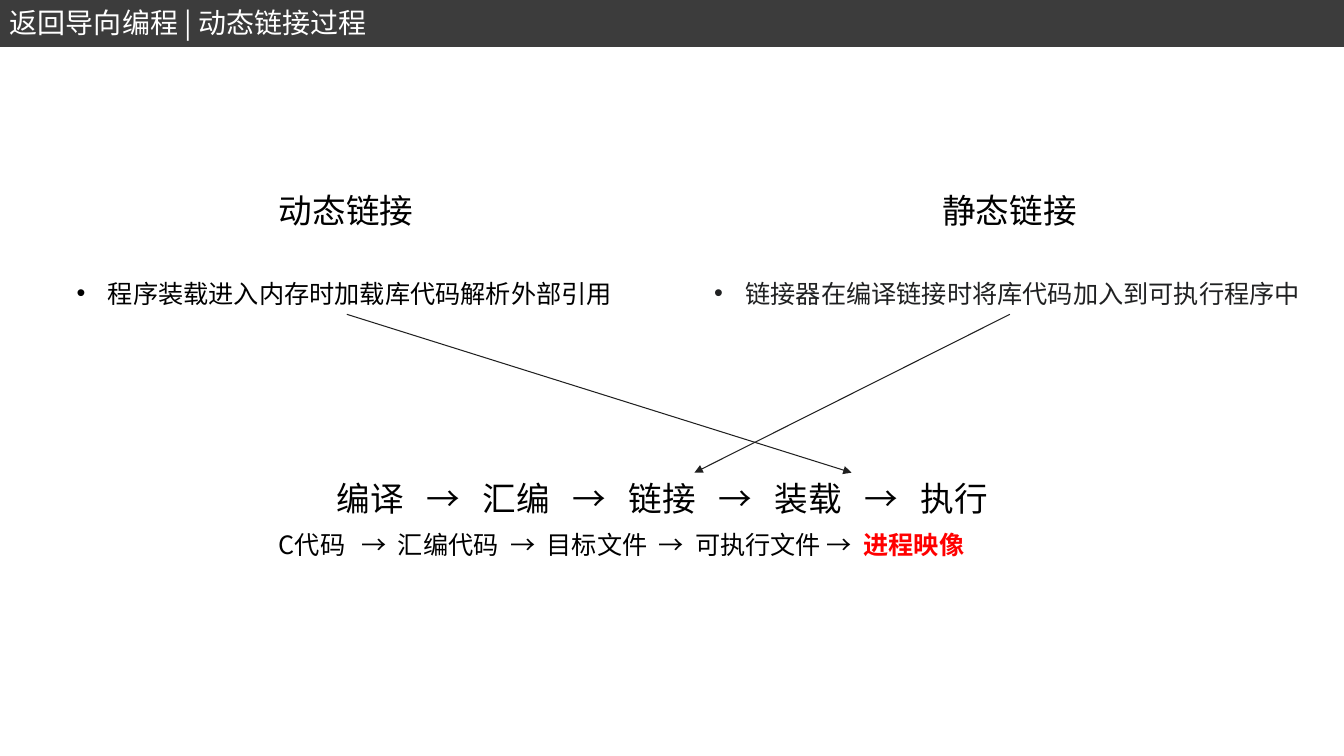
from lxml import etree
from pptx import Presentation
from pptx import util as u
from pptx.dml.color import RGBColor
from pptx.enum import shapes, text
from pptx.oxml import ns

COLORS = {
    "bar": "3C3C3C", "white": "FFFFFF", "black": "000000",
    "ink": "202122", "arrow": "202020", "alert": "FF0000",
}


def rgb(name):
    return RGBColor.from_string(COLORS[name])


def add_xml(parent, tag, **attributes):
    return etree.SubElement(parent, ns.qn(tag), attributes)


class LinkingSlide:
    font = "Noto Sans CJK SC"
    bullet_indent = u.Cm(0.79)

    def __init__(self, deck):
        self.deck = deck
        self.slide = deck.slides.add_slide(deck.slide_layouts[6])

    def bar(self, top, height):
        band = self.slide.shapes.add_shape(
            shapes.MSO_SHAPE.RECTANGLE, 0, u.Cm(top), self.deck.slide_width, u.Cm(height))
        band.shadow.inherit = False
        band.fill.solid()
        band.fill.fore_color.rgb = rgb("bar")
        band.line.color.rgb = rgb("bar")
        band.line.width = u.Pt(2)

    def label(self, place, runs, size, wrap=False, bullet=False, stops=()):
        box = self.slide.shapes.add_textbox(*(u.Cm(length) for length in place))
        frame = box.text_frame
        for name, value in {"word_wrap": wrap,
                            "auto_size": text.MSO_AUTO_SIZE.SHAPE_TO_FIT_TEXT}.items():
            setattr(frame, name, value)
        paragraph = frame.paragraphs[0]
        properties = paragraph._p.get_or_add_pPr()
        if bullet:
            properties.set("marL", str(self.bullet_indent))
            properties.set("indent", str(-self.bullet_indent))
            add_xml(properties, "a:buFont", typeface="Arial")
            add_xml(properties, "a:buChar", char="•")
        if stops:
            tabs = add_xml(properties, "a:tabLst")
            for stop in stops:
                add_xml(tabs, "a:tab", pos=str(u.Cm(stop)), algn="l")
        for wording, color, bold in runs:
            run = paragraph.add_run()
            run.text = wording
            style = {"name": self.font, "size": u.Pt(size), "bold": bold}
            for name, value in style.items():
                setattr(run.font, name, value)
            run.font.color.rgb = rgb(color)
            add_xml(run._r.get_or_add_rPr(), "a:ea", typeface=self.font)

    def arrow(self, start, end):
        link = self.slide.shapes.add_connector(
            shapes.MSO_CONNECTOR.STRAIGHT, *(u.Cm(length) for length in start + end))
        link.line.color.rgb = rgb("arrow")
        link.line.width = u.Pt(0.75)
        add_xml(link.line._get_or_add_ln(), "a:tailEnd", type="triangle")
        add_xml(link._element.spPr, "a:effectLst")


def main():
    deck = Presentation()
    deck.slide_width, deck.slide_height = u.Cm(33.87), u.Cm(19.05)
    page = LinkingSlide(deck)
    page.bar(0.02, 1.12)

    methods = [
        ("动态链接", 6.78, "程序装载进入内存时加载库代码解析外部引用", 1.68, 14.15, "black", 8.74, 21.46),
        ("静态链接", 23.5, "链接器在编译链接时将库代码加入到可执行程序中", 17.75, 15.42, "ink", 25.45, 17.5),
    ]
    for heading, heading_left, meaning, left, width, color, start, end in methods:
        page.label((heading_left, 4.67, 3.94, 1.28), [(heading, "black", False)], 24)
        page.label((left, 6.88, width, 1.03), [(meaning, color, False)], 18, bullet=True)
        page.arrow((start, 7.92), (end, 11.91))

    stages = ["编译", "汇编", "链接", "装载", "执行"]
    step, arrow_offset = 3.68, 2.26
    stage_stops = [stop for i in range(len(stages) - 1)
                   for stop in (i * step + arrow_offset, (i + 1) * step)]
    page.label((8.23, 11.91, 18.49, 1.28), [("\t→\t".join(stages), "black", False)],
               24, wrap=True, stops=stage_stops)

    products = ["C代码", "汇编代码", "目标文件", "可执行文件", ""]
    product_stops = [2.08, 3, 5.83, 6.75, 9.57, 10.49, 13.81, 14.73]
    page.label((6.78, 13.21, 18.52, 1.03),
               [("\t→\t".join(products), "black", False), ("进程映像", "alert", True)],
               18, wrap=True, stops=product_stops)

    page.label((0, 0.02, 15.67, 1.12), [("返回导向编程 | 动态链接过程", "white", False)],
               20, wrap=True)
    deck.save("out.pptx")


if __name__ == "__main__":
    main()
